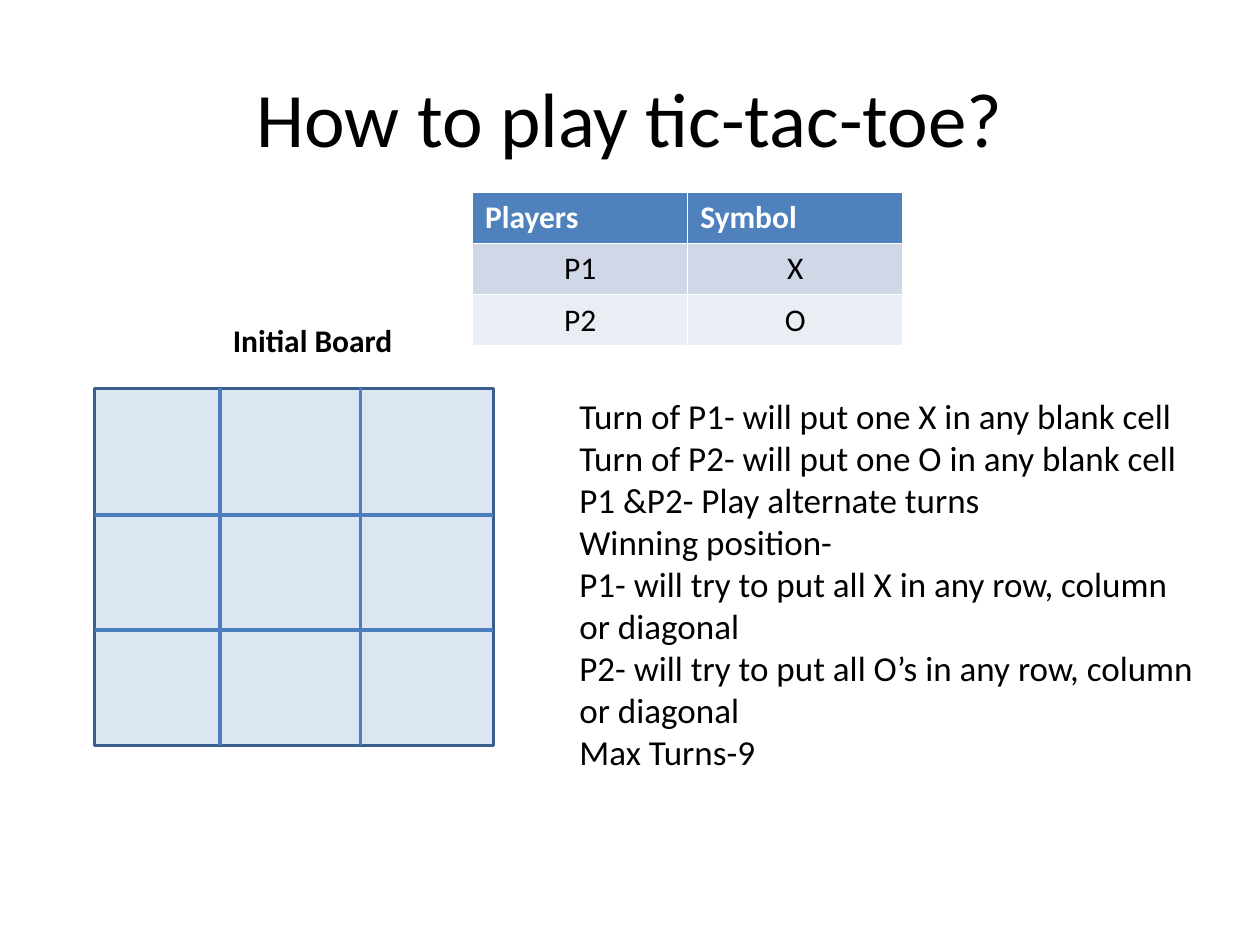
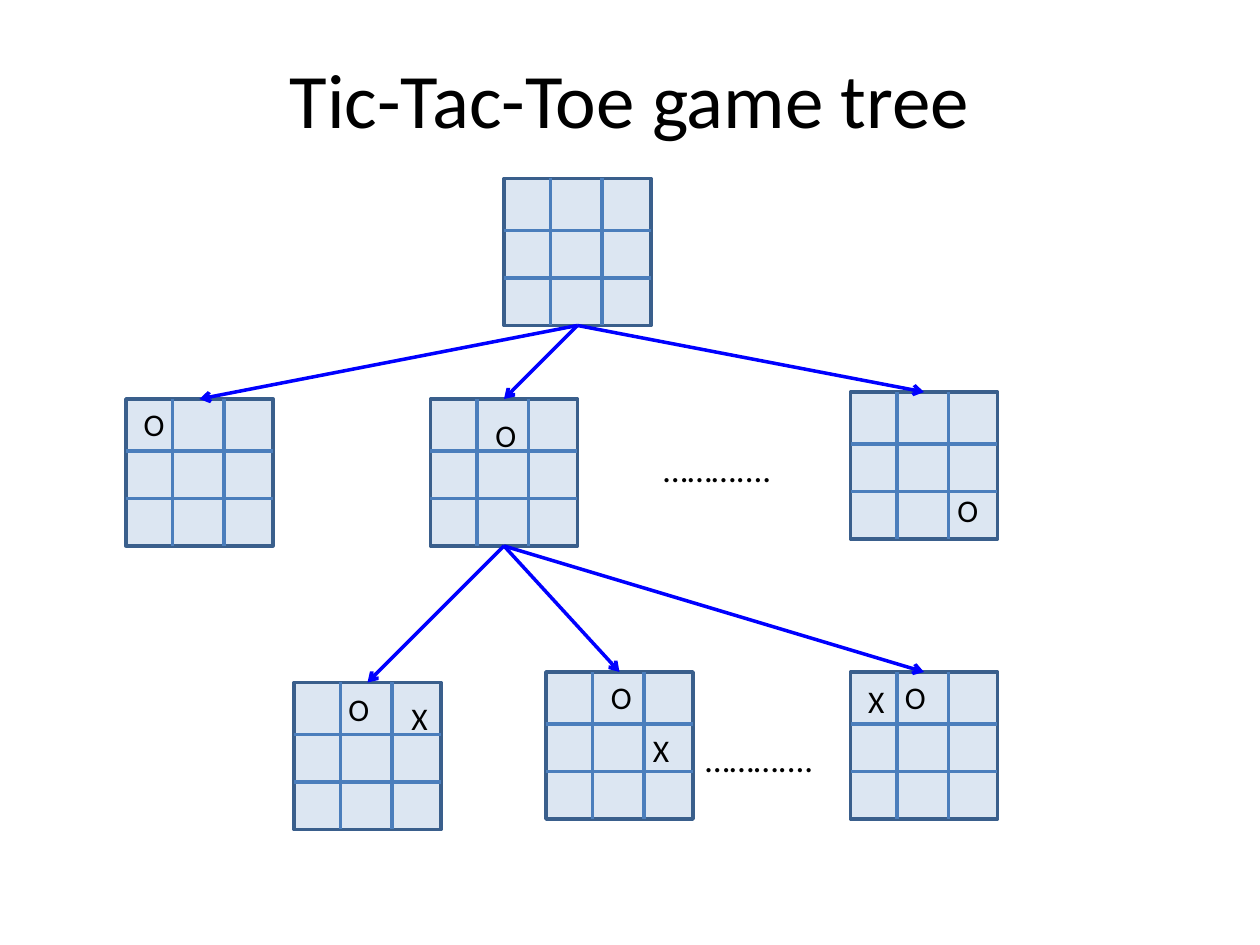
import pptx
import pptx.dml.color
import pptx.enum.shapes
import pptx.enum.text
import pptx.oxml.ns
import pptx.util
from lxml import etree

Pt = pptx.util.Pt
ALIGN = pptx.enum.text.PP_ALIGN
STRAIGHT = pptx.enum.shapes.MSO_CONNECTOR.STRAIGHT

COLORS = {
    "text": "000000",
    "header_text": "FFFFFF",
    "header": "4F81BD",
    "odd_row": "D0D8E8",
    "even_row": "E9EDF4",
    "board": "DCE6F2",
    "board_edge": "3A5F8C",
    "grid": "4B7EBC",
    "arrow": "0000FF",
}
FONT = "Calibri"
LINE_WIDTH = 2
COLUMN_SPLITS = (0.315, 0.667)
ROW_SPLITS = (0.355, 0.677)
TOP, BOTTOM = 0, 2
BOARD_SIZE = 84
MARK_WIDTH, MARK_HEIGHT = 18, 29


def rgb(name):
    return pptx.dml.color.RGBColor.from_string(COLORS[name])


def style_paragraph(paragraph, size, bold=False, align=ALIGN.LEFT, color="text"):
    paragraph.alignment = align
    font = paragraph.font
    font.name, font.size, font.bold = FONT, Pt(size), bold
    font.color.rgb = rgb(color)


def add_text(slide, lines, left, top, width, height, size=18, bold=False, align=ALIGN.LEFT):
    box = slide.shapes.add_textbox(Pt(left), Pt(top), Pt(width), Pt(height))
    frame = box.text_frame
    frame.word_wrap = True
    frame.text = "\n".join(lines)
    for paragraph in frame.paragraphs:
        style_paragraph(paragraph, size, bold, align)
    return box


def add_title(slide, title, height):
    box = add_text(slide, [title], 36, 21.6, 648, height, size=44, align=ALIGN.CENTER)
    box.text_frame.vertical_anchor = pptx.enum.text.MSO_ANCHOR.MIDDLE


def add_line(shapes, color, start=(0, 0), end=(0, 0)):
    line = shapes.add_connector(STRAIGHT, *(Pt(value) for value in (*start, *end)))
    line.line.color.rgb = rgb(color)
    line.line.width = Pt(LINE_WIDTH)
    properties = line._element.spPr
    etree.SubElement(properties, pptx.oxml.ns.qn("a:effectLst"))
    return line


def add_arrow(slide, parent, child):
    """Point from the bottom of one board to the top of another."""
    arrow = add_line(slide.shapes, "arrow")
    arrow.begin_connect(parent, BOTTOM)
    arrow.end_connect(child, TOP)
    outline = arrow.line._get_or_add_ln()
    etree.SubElement(outline, pptx.oxml.ns.qn("a:tailEnd"), type="arrow")


def add_board(slide, left, top, width=BOARD_SIZE, height=BOARD_SIZE, marks=()):
    """Draw a grouped board; marks are (symbol, x, y) offsets from its corner."""
    group = slide.shapes.add_group_shape()
    square = group.shapes.add_shape(
        pptx.enum.shapes.MSO_SHAPE.RECTANGLE, Pt(left), Pt(top), Pt(width), Pt(height))
    square.shadow.inherit = False
    square.fill.solid()
    square.fill.fore_color.rgb = rgb("board")
    square.line.color.rgb = rgb("board_edge")
    square.line.width = Pt(LINE_WIDTH)
    for split in COLUMN_SPLITS:
        x = left + split * width
        add_line(group.shapes, "grid", (x, top), (x, top + height))
    for split in ROW_SPLITS:
        y = top + split * height
        add_line(group.shapes, "grid", (left, y), (left + width, y))
    for symbol, x, y in marks:
        add_text(slide, [symbol], left + x, top + y, MARK_WIDTH, MARK_HEIGHT)
    return square


def add_players_table(slide, rows, left, top, width, height):
    table = slide.shapes.add_table(
        len(rows), len(rows[0]), Pt(left), Pt(top), Pt(width), Pt(height)).table
    for row_index, row in enumerate(rows):
        is_header = row_index == 0
        fill = "header" if is_header else "odd_row" if row_index % 2 else "even_row"
        for column_index, value in enumerate(row):
            cell = table.cell(row_index, column_index)
            cell.text = value
            cell.fill.solid()
            cell.fill.fore_color.rgb = rgb(fill)
            style_paragraph(
                cell.text_frame.paragraphs[0], 18, is_header,
                ALIGN.LEFT if is_header else ALIGN.CENTER,
                "header_text" if is_header else "text")


def add_blank_slide(presentation):
    return presentation.slides.add_slide(presentation.slide_layouts[6])


def build_rules_slide(presentation):
    slide = add_blank_slide(presentation)
    add_title(slide, "How to play tic-tac-toe?", 90)
    players = [("Players", "Symbol"), ("P1", "X"), ("P2", "O")]
    add_players_table(slide, players, 270, 110, 246, 87.6)
    add_board(slide, 54, 222, 228, 204)
    add_text(slide, ["Initial Board"], 126, 180, 108, 29, bold=True)
    rules = [
        "Turn of P1- will put one X in any blank cell",
        "Turn of P2- will put one O in any blank cell",
        "P1 &P2- Play alternate turns",
        "Winning position-",
        "P1- will try to put all X in any row, column or diagonal",
        "P2- will try to put all O’s in any row, column or diagonal",
        "Max Turns-9",
    ]
    add_text(slide, rules, 324, 222, 366, 247, size=20)


def build_tree_slide(presentation):
    slide = add_blank_slide(presentation)
    add_title(slide, "Tic-Tac-Toe game tree", 68.4)
    root = add_board(slide, 288, 102)
    first_moves = [
        add_board(slide, 72, 228, marks=[("O", 3, 0)]),
        add_board(slide, 246, 228, marks=[("O", 30, 6)]),
        add_board(slide, 486, 224, marks=[("O", 54, 53)]),
    ]
    replies = [
        add_board(slide, 168, 390, marks=[("O", 24, 1), ("X", 60, 6)]),
        add_board(slide, 312, 384, marks=[("O", 30, 0), ("X", 54, 30)]),
        add_board(slide, 486, 384, marks=[("O", 24, 0), ("X", 3, 2)]),
    ]
    for left, top in ((372, 252), (396, 418)):
        add_text(slide, ["………...."], left, top, 78, 32, size=20)
    for parent, children in ((root, first_moves), (first_moves[1], replies)):
        for child in children:
            add_arrow(slide, parent, child)


def main():
    presentation = pptx.Presentation()
    presentation.slide_width, presentation.slide_height = Pt(720), Pt(540)
    build_rules_slide(presentation)
    build_tree_slide(presentation)
    presentation.save("out.pptx")


if __name__ == "__main__":
    main()
